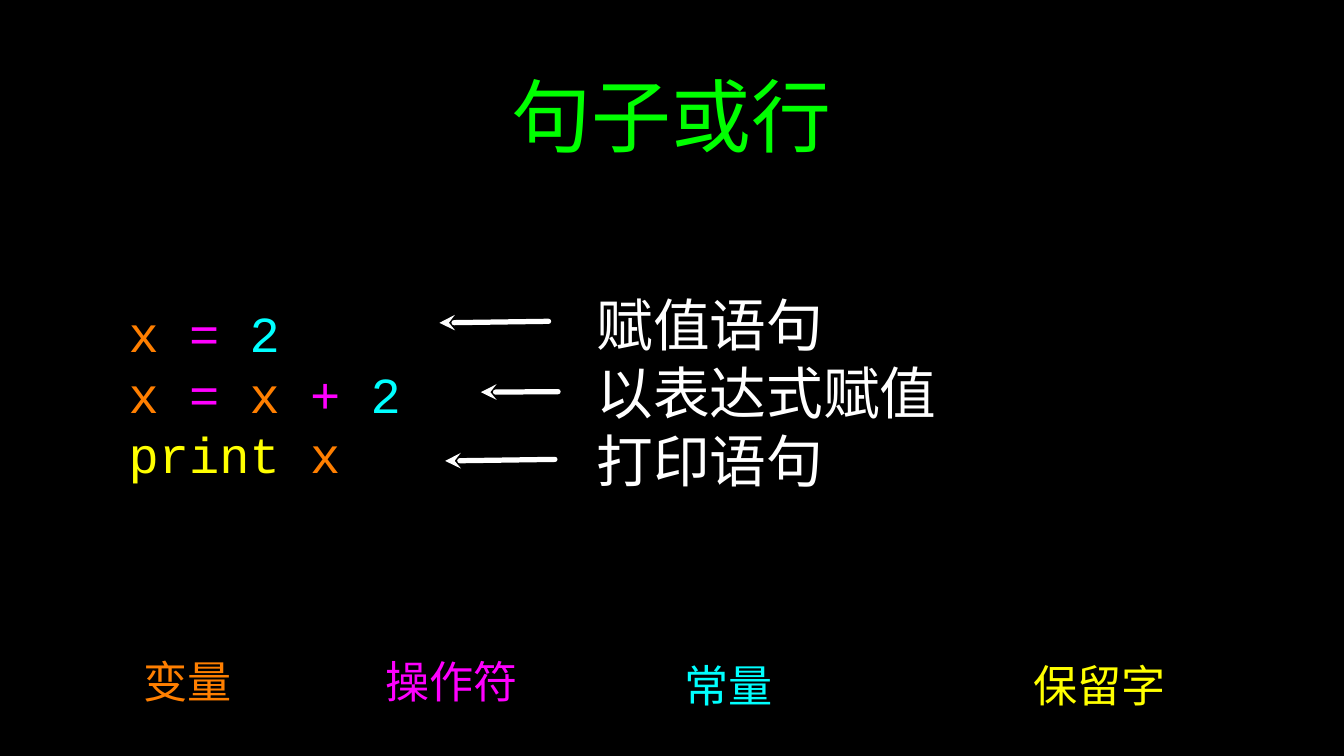
import pptx
import pptx.dml.color
import pptx.enum.shapes
import pptx.enum.text
import pptx.oxml.ns
import pptx.util
from lxml import etree

Pt = pptx.util.Pt
ALIGN = pptx.enum.text.PP_ALIGN

WHITE = "FFFFFF"
GREEN = "00FF00"
VARIABLE = "FF7F00"
OPERATOR = "FF00FF"
CONSTANT = "00FFFF"
RESERVED = "FFFF00"

CODE = [
    [("x ", VARIABLE), ("= ", OPERATOR), ("2", CONSTANT)],
    [("x ", VARIABLE), ("=", OPERATOR), (" x ", VARIABLE),
     ("+ ", OPERATOR), ("2", CONSTANT)],
    [("print", RESERVED), (" x", VARIABLE)],
]
EXPLANATIONS = ["赋值语句", "以表达式赋值", "打印语句"]

# word, colour, left, top, width
LEGEND = [
    ("变量", VARIABLE, 107, 620, 144),
    ("操作符", OPERATOR, 343.5, 620, 173),
    ("常量", CONSTANT, 610.5, 624, 166),
    ("保留字", RESERVED, 909.5, 624, 275),
]

# tip x, tip y, tail x, tail y
ARROWS = [
    (418.5, 307.5, 522.5, 306),
    (458, 373.5, 531.5, 373),
    (424, 439, 528.5, 437.5),
]


def rgb(value):
    return pptx.dml.color.RGBColor.from_string(value)


def apply(target, values):
    for name, value in values.items():
        setattr(target, name, value)


def add_text(page, place, lines, font, size, align=ALIGN.LEFT, inset=0):
    """Add a text box; each line is a list of (text, colour) spans."""
    box = page.shapes.add_textbox(*map(Pt, place))
    frame = box.text_frame
    apply(frame, {
        "word_wrap": True,
        "vertical_anchor": pptx.enum.text.MSO_ANCHOR.MIDDLE,
        "margin_left": Pt(inset), "margin_right": Pt(inset),
        "margin_top": Pt(inset), "margin_bottom": Pt(inset),
    })
    for index, line in enumerate(lines):
        para = frame.add_paragraph() if index else frame.paragraphs[0]
        para.alignment = align
        for text, colour in line:
            span = para.add_run()
            span.text = text
            apply(span.font, {"name": font, "size": Pt(size)})
            span.font.color.rgb = rgb(colour)


def add_arrow(page, ends):
    """Add a white line with a stealth head at its first end."""
    arrow = page.shapes.add_connector(
        pptx.enum.shapes.MSO_CONNECTOR.STRAIGHT, *map(Pt, ends))
    arrow.line.width = Pt(5)
    arrow.line.color.rgb = rgb(WHITE)
    qn = pptx.oxml.ns.qn
    outline = arrow.line._get_or_add_ln()
    outline.set("cap", "rnd")
    etree.SubElement(outline, qn("a:headEnd"), type="stealth")
    etree.SubElement(arrow._element.spPr, qn("a:effectLst"))


def main():
    deck = pptx.Presentation()
    apply(deck, {"slide_width": Pt(1280), "slide_height": Pt(720)})
    page = deck.slides.add_slide(deck.slide_layouts[6])
    page.background.fill.solid()
    page.background.fill.fore_color.rgb = rgb("000000")

    add_text(page, (91, 19, 1097, 181), [[("句子或行", GREEN)]],
             "Cabin", 76, ALIGN.CENTER, inset=3)
    add_text(page, (122.5, 215.5, 315.5, 318), CODE, "Courier New", 48)
    for word, colour, left, top, width in LEGEND:
        add_text(page, (left, top, width, 57), [[(word, colour)]],
                 "Cabin", 42, ALIGN.CENTER)
    add_text(page, (568, 214, 667, 318),
             [[(text, WHITE)] for text in EXPLANATIONS], "Cabin", 54)
    for ends in ARROWS:
        add_arrow(page, ends)

    deck.save("out.pptx")


if __name__ == "__main__":
    main()
